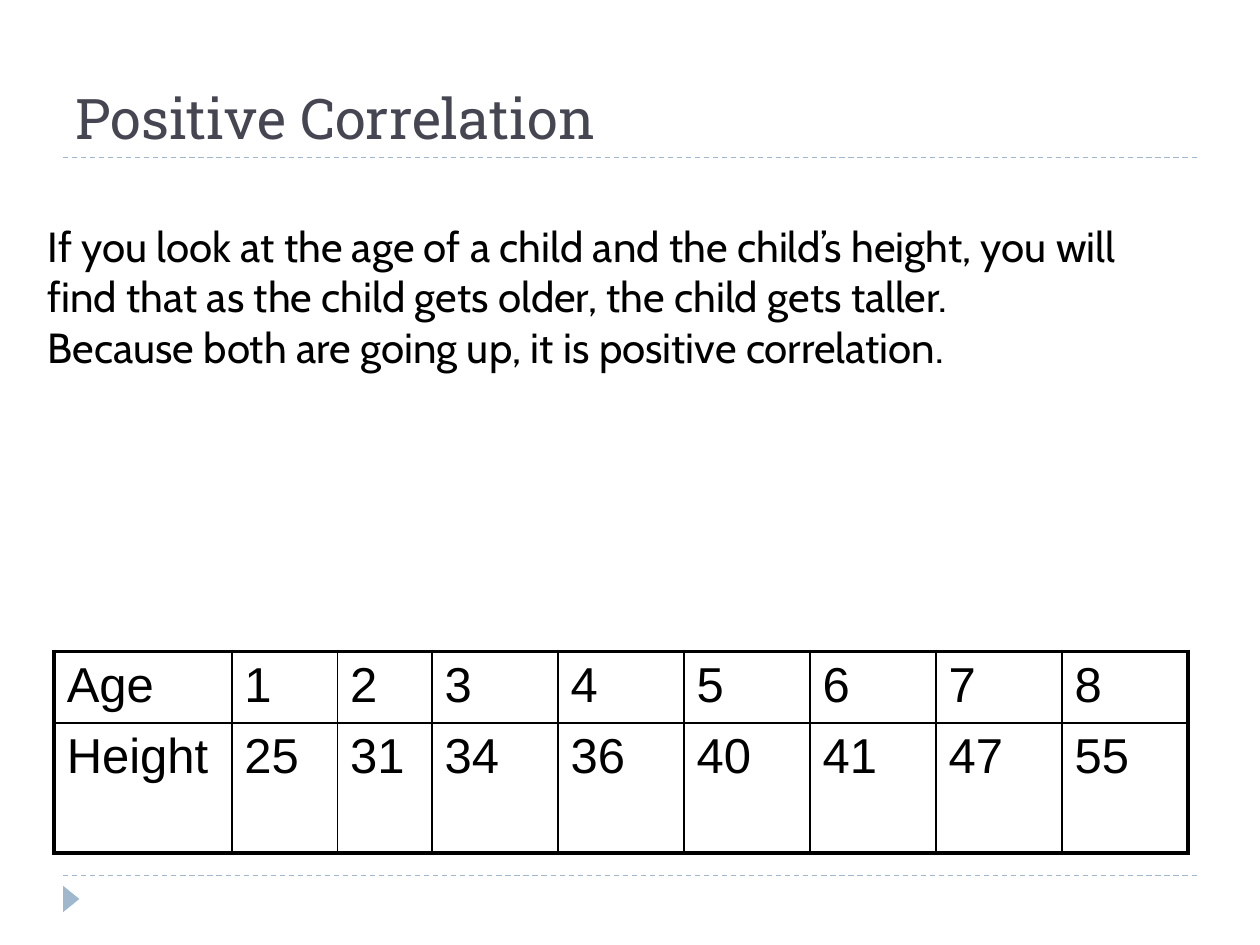
import pptx
import pptx.util
import pptx.dml.color
import pptx.enum.dml
import pptx.enum.shapes
import pptx.enum.text
import pptx.oxml
import pptx.oxml.ns
import lxml.etree

Inches = pptx.util.Inches
Pt = pptx.util.Pt

COLORS = {"title": "464653", "text": "000000", "accent": "9FB8CD", "border": "000000"}
TITLE = "Positive Correlation"
EXPLANATION = [
    "If you look at the age of a child and the child’s height, you will find that "
    "as the child gets older, the child gets taller.",
    "Because both are going up, it is positive correlation.",
]
MEASUREMENTS = [
    ("Age", 1, 2, 3, 4, 5, 6, 7, 8),
    ("Height", 25, 31, 34, 36, 40, 41, 47, 55),
]
COLUMN_WIDTHS = [1.41, 0.84, 0.75] + [1] * 6
ROW_HEIGHTS = [0.57, 1.03]
RULE_HEIGHTS = [6.95, 1.25]
OUTER_BORDER, INNER_BORDER = 2.25, 1


def rgb(name):
    return pptx.dml.color.RGBColor.from_string(COLORS[name])


def format_text(frame, font_name, size, color):
    for paragraph in frame.paragraphs:
        for run in paragraph.runs:
            run.font.name = font_name
            run.font.size = Pt(size)
            run.font.color.rgb = rgb(color)


def add_rule(slide, y):
    rule = slide.shapes.add_connector(
        pptx.enum.shapes.MSO_CONNECTOR.STRAIGHT, Inches(0.5), Inches(y), Inches(9.5), Inches(y))
    rule.line.color.rgb = rgb("accent")
    rule.line.width = Pt(0.75)
    rule.line.dash_style = pptx.enum.dml.MSO_LINE.DASH
    lxml.etree.SubElement(rule.element.spPr, pptx.oxml.ns.qn("a:effectLst"))


def set_borders(cell, widths):
    properties = cell._tc.get_or_add_tcPr()
    for position, (side, width) in enumerate(widths.items()):
        properties.insert(position, pptx.oxml.parse_xml(
            f'<a:ln{side} {pptx.oxml.ns.nsdecls("a")} w="{Pt(width)}"><a:solidFill>'
            f'<a:srgbClr val="{COLORS["border"]}"/></a:solidFill></a:ln{side}>'))


def add_measurements(slide):
    rows, columns = len(ROW_HEIGHTS), len(COLUMN_WIDTHS)
    table = slide.shapes.add_table(
        rows, columns, Inches(0.43), Inches(5.17), Inches(9), Inches(sum(ROW_HEIGHTS))).table
    table.first_row = table.horz_banding = False
    for column, width in zip(table.columns, COLUMN_WIDTHS):
        column.width = Inches(width)
    for r, values in enumerate(MEASUREMENTS):
        table.rows[r].height = Inches(ROW_HEIGHTS[r])
        for c, value in enumerate(values):
            cell = table.cell(r, c)
            cell.text_frame.text = str(value)
            format_text(cell.text_frame, "Arial", 28, "text")
            cell.fill.background()
            on_edge = {"L": c == 0, "R": c == columns - 1, "T": r == 0, "B": r == rows - 1}
            set_borders(cell, {side: OUTER_BORDER if edge else INNER_BORDER
                               for side, edge in on_edge.items()})


def main():
    """Build the positive correlation slide."""
    presentation = pptx.Presentation()
    presentation.slide_width, presentation.slide_height = Inches(10), Inches(7.5)
    slide = presentation.slides.add_slide(presentation.slide_layouts[5])

    for y in RULE_HEIGHTS:
        add_rule(slide, y)
    marker = slide.shapes.add_shape(
        pptx.enum.shapes.MSO_SHAPE.ISOSCELES_TRIANGLE,
        Inches(0.46), Inches(7.07), Inches(0.21), Inches(0.13))
    marker.rotation = 90
    marker.shadow.inherit = False
    marker.fill.solid()
    marker.fill.fore_color.rgb = rgb("accent")
    marker.line.fill.background()

    heading = slide.shapes.title
    heading.left, heading.top = Inches(0.5), Inches(0.17)
    heading.width, heading.height = Inches(9), Inches(1.08)
    heading.text_frame.text = TITLE
    heading.text_frame.vertical_anchor = pptx.enum.text.MSO_ANCHOR.BOTTOM
    heading.text_frame.paragraphs[0].alignment = pptx.enum.text.PP_ALIGN.LEFT
    format_text(heading.text_frame, "Roboto Slab", 32, "title")

    add_measurements(slide)

    explanation = slide.shapes.add_textbox(
        Inches(0.28), Inches(1.7), Inches(9.21), Inches(1.31)).text_frame
    explanation.word_wrap = True
    explanation.auto_size = pptx.enum.text.MSO_AUTO_SIZE.SHAPE_TO_FIT_TEXT
    explanation.text = "\n".join(EXPLANATION)
    format_text(explanation, "Cabin", 24, "text")

    presentation.save("out.pptx")


if __name__ == "__main__":
    main()
